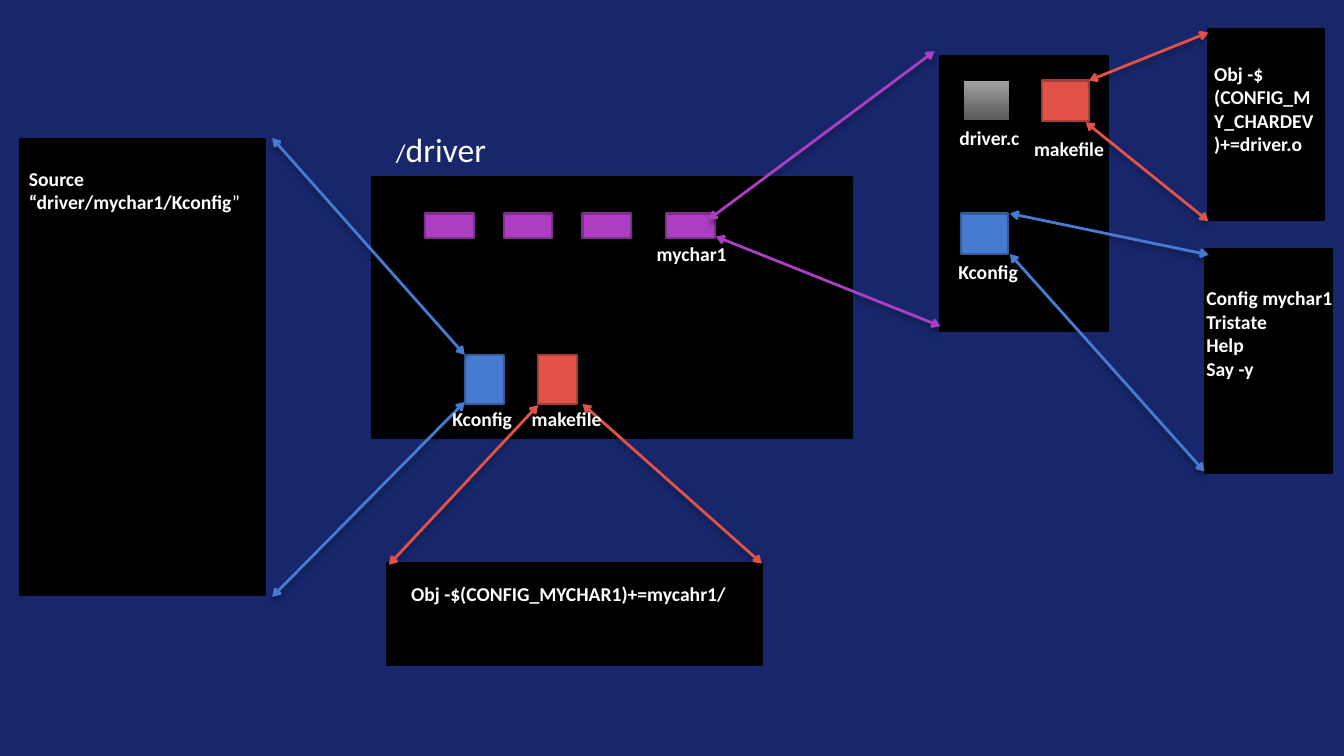
from collections import namedtuple
from dataclasses import dataclass

from lxml import etree
from pptx import Presentation
from pptx.dml.color import RGBColor
from pptx.enum.shapes import MSO_CONNECTOR, MSO_SHAPE
from pptx.enum.text import MSO_AUTO_SIZE
from pptx.oxml.ns import qn
from pptx.util import Cm, Pt

RECTANGLE = MSO_SHAPE.RECTANGLE
STRAIGHT = MSO_CONNECTOR.STRAIGHT
GROW = MSO_AUTO_SIZE.SHAPE_TO_FIT_TEXT

# Lengths in centimetres
Box = namedtuple("Box", "left top width height")
Icon = namedtuple("Icon", "box color edge")


@dataclass(frozen=True)
class Theme:
    background: str = "18276C"
    panel: str = "000000"
    text: str = "FFFFFF"
    purple: tuple = ("AC3EC1", "7F2E8F")
    blue: tuple = ("477BD1", "355B9B")
    red: tuple = ("E25247", "A73D35")
    gray: tuple = ("A6A6A6", "797979")
    font: str = "Calibri"
    body: int = 14
    slash: int = 18
    title: int = 24
    outline: float = 1.5
    thin_outline: float = 0.75
    arrow: float = 2


THEME = Theme()

SOURCE = Box(0.51, 3.51, 6.17, 11.48)
DRIVER = Box(9.37, 4.47, 12.09, 6.58)
MYCHAR1 = Box(23.7, 1.42, 4.22, 6.93)
CHARDEV = Box(30.45, 0.74, 2.92, 4.8)
CONFIG = Box(30.38, 6.27, 3.18, 5.64)
OBJ = Box(9.75, 14.2, 9.45, 2.57)


def inside(box, x, y, width, height):
    return Box(box.left + x, box.top + y, width, height)


def corner(box, name, nudge):
    """Point at corner "tl", "tr", "bl" or "br" of the box, moved by nudge."""
    x = box.left + (box.width if name[1] == "r" else 0) + nudge[0]
    y = box.top + (box.height if name[0] == "b" else 0) + nudge[1]
    return Cm(x), Cm(y)


def add_rectangle(slide, box, color, edge, outline=THEME.outline):
    rectangle = slide.shapes.add_shape(RECTANGLE, *map(Cm, box))
    rectangle.shadow.inherit = False
    rectangle.fill.solid()
    rectangle.fill.fore_color.rgb = RGBColor.from_string(color)
    rectangle.line.color.rgb = RGBColor.from_string(edge)
    rectangle.line.width = Pt(outline)
    return rectangle


def add_text(slide, box, text, size=THEME.body, bold=True, inset_right=0.25):
    """Text is a string, or a list of paragraphs made of (text, format) runs."""
    label = slide.shapes.add_textbox(*map(Cm, box))
    frame = label.text_frame
    frame.word_wrap = True
    frame.auto_size = GROW
    frame.margin_right = Cm(inset_right)
    paragraphs = [[(text, {})]] if isinstance(text, str) else text
    for number, runs in enumerate(paragraphs):
        paragraph = frame.add_paragraph() if number else frame.paragraphs[0]
        for words, style in runs:
            run = paragraph.add_run()
            run.text = words
            run.font.name = THEME.font
            run.font.size = Pt(style.get("size", size))
            run.font.bold = style.get("bold", bold)
            run.font.color.rgb = RGBColor.from_string(THEME.text)


def add_link(slide, start, end, color):
    """Two-headed arrow with a soft shadow."""
    link = slide.shapes.add_connector(STRAIGHT, *start, *end)
    link.line.color.rgb = RGBColor.from_string(color)
    link.line.width = Pt(THEME.arrow)
    outline = link.line._get_or_add_ln()
    for arrowhead in ("a:headEnd", "a:tailEnd"):
        etree.SubElement(outline, qn(arrowhead), type="arrow")
    effects = etree.SubElement(link._element.spPr, qn("a:effectLst"))
    shadow = etree.SubElement(
        effects, qn("a:outerShdw"), blurRad=str(Pt(4)), dist=str(Pt(3)),
        dir="5400000", rotWithShape="0")
    tint = etree.SubElement(shadow, qn("a:srgbClr"), val="000000")
    etree.SubElement(tint, qn("a:alpha"), val="35000")


def draw_driver_folder(slide, box):
    """Draw the driver folder; return its mychar1, Kconfig and makefile icons."""
    add_rectangle(slide, box, THEME.panel, THEME.panel)
    subfolders = [inside(box, x, 0.91, 1.22, 0.61)
                  for x in (1.35, 3.33, 5.31, 7.42)]
    kconfig = inside(box, 2.34, 4.47, 0.99, 1.24)
    makefile = inside(box, 4.19, 4.47, 0.99, 1.24)
    for subfolder in subfolders:
        add_rectangle(slide, subfolder, *THEME.purple)
    add_rectangle(slide, kconfig, *THEME.blue)
    add_rectangle(slide, makefile, *THEME.red)
    return subfolders[-1], kconfig, makefile


def label_driver_folder(slide, box):
    add_text(slide, inside(box, 0.36, -1.35, 5.72, 1.27),
             [[("/", {"size": THEME.slash}), ("driver", {})]],
             size=THEME.title, bold=False)
    add_text(slide, inside(box, 6.93, 1.5, 2.62, 0.86), "mychar1")
    add_text(slide, inside(box, 1.78, 5.66, 3, 0.86), "Kconfig")
    add_text(slide, inside(box, 3.78, 5.66, 3.48, 0.86), "makefile")


def draw_mychar1_folder(slide, box):
    """Draw the mychar1 folder; return its makefile and Kconfig icons."""
    add_rectangle(slide, box, THEME.panel, THEME.panel)
    driver_c = add_rectangle(slide, inside(box, 0.58, 0.61, 1.17, 1.02),
                             THEME.gray[0], THEME.panel, THEME.thin_outline)
    driver_c.fill.gradient()
    driver_c.fill.gradient_angle = 270
    for stop, color in zip(driver_c.fill.gradient_stops, THEME.gray):
        stop.color.rgb = RGBColor.from_string(color)
    lower_color = driver_c._element.spPr.findall(".//" + qn("a:srgbClr"))[1]
    etree.SubElement(lower_color, qn("a:alpha"), val="74000")
    makefile = inside(box, 2.57, 0.61, 1.17, 1.02)
    kconfig = inside(box, 0.53, 3.96, 1.17, 1.02)
    add_rectangle(slide, makefile, *THEME.red)
    add_rectangle(slide, kconfig, *THEME.blue)
    return makefile, kconfig


def label_mychar1_folder(slide, box):
    add_text(slide, inside(box, 0.23, 1.63, 3.56, 0.86), "driver.c")
    add_text(slide, inside(box, 2.11, 1.9, 3.48, 0.86), "makefile")
    add_text(slide, inside(box, 0.2, 5, 2.77, 0.86), "Kconfig")


def label_file_contents(slide):
    add_text(slide, inside(SOURCE, -0.03, 0.56, 6.58, 1.45),
             [[("Source “driver/mychar1/Kconfig", {}), ("”", {"bold": False})]])
    add_text(slide, inside(OBJ, 0.36, 0.33, 11.61, 0.86),
             "Obj -$(CONFIG_MYCHAR1)+=mycahr1/")
    add_text(slide, inside(CHARDEV, -0.1, 0.69, 3.02, 3.23),
             "Obj -$(CONFIG_MY_CHARDEV)+=driver.o")
    add_text(slide, inside(CONFIG, -0.23, 0.81, 3.69, 2.64),
             [[(line, {})] for line in
              ("Config mychar1", "Tristate", "Help", "Say -y")], inset_right=0)


def draw_slide(slide):
    slide.background.fill.solid()
    slide.background.fill.fore_color.rgb = RGBColor.from_string(THEME.background)
    for contents in (SOURCE, CHARDEV, CONFIG, OBJ):
        add_rectangle(slide, contents, THEME.panel, THEME.panel)
    mychar1, kconfig, makefile = draw_driver_folder(slide, DRIVER)
    char_makefile, char_kconfig = draw_mychar1_folder(slide, MYCHAR1)

    blue, red, purple = THEME.blue[0], THEME.red[0], THEME.purple[0]
    links = (
        (kconfig, "bl", (0, -0.05), SOURCE, "br", (0.18, 0.05), blue),
        (kconfig, "tl", (0, 0), SOURCE, "tr", (0.18, -0.03), blue),
        (makefile, "bl", (0, 0.03), OBJ, "tl", (0.05, 0.03), red),
        (makefile, "br", (0.13, 0), OBJ, "tr", (0, 0), red),
        (char_makefile, "tr", (0, 0), CHARDEV, "tl", (0, 0.08), red),
        (char_makefile, "br", (-0.08, 0.03), CHARDEV, "bl", (0, 0.03), red),
        (char_kconfig, "tr", (0.05, 0), CONFIG, "tl", (0.08, 0.15), blue),
        (char_kconfig, "br", (0.05, 0), CONFIG, "bl", (-0.03, -0.03), blue),
        (mychar1, "tr", (-0.15, 0.15), MYCHAR1, "tl", (-0.15, -0.13), purple),
        (mychar1, "br", (0.03, -0.03), MYCHAR1, "bl", (0, -0.13), purple),
    )
    for icon, icon_corner, icon_nudge, panel, panel_corner, panel_nudge, color in links:
        add_link(slide, corner(icon, icon_corner, icon_nudge),
                 corner(panel, panel_corner, panel_nudge), color)

    label_driver_folder(slide, DRIVER)
    label_mychar1_folder(slide, MYCHAR1)
    label_file_contents(slide)


def main():
    deck = Presentation()
    deck.slide_width, deck.slide_height = Cm(33.87), Cm(19.05)
    draw_slide(deck.slides.add_slide(deck.slide_layouts[6]))
    deck.save("out.pptx")


if __name__ == "__main__":
    main()
